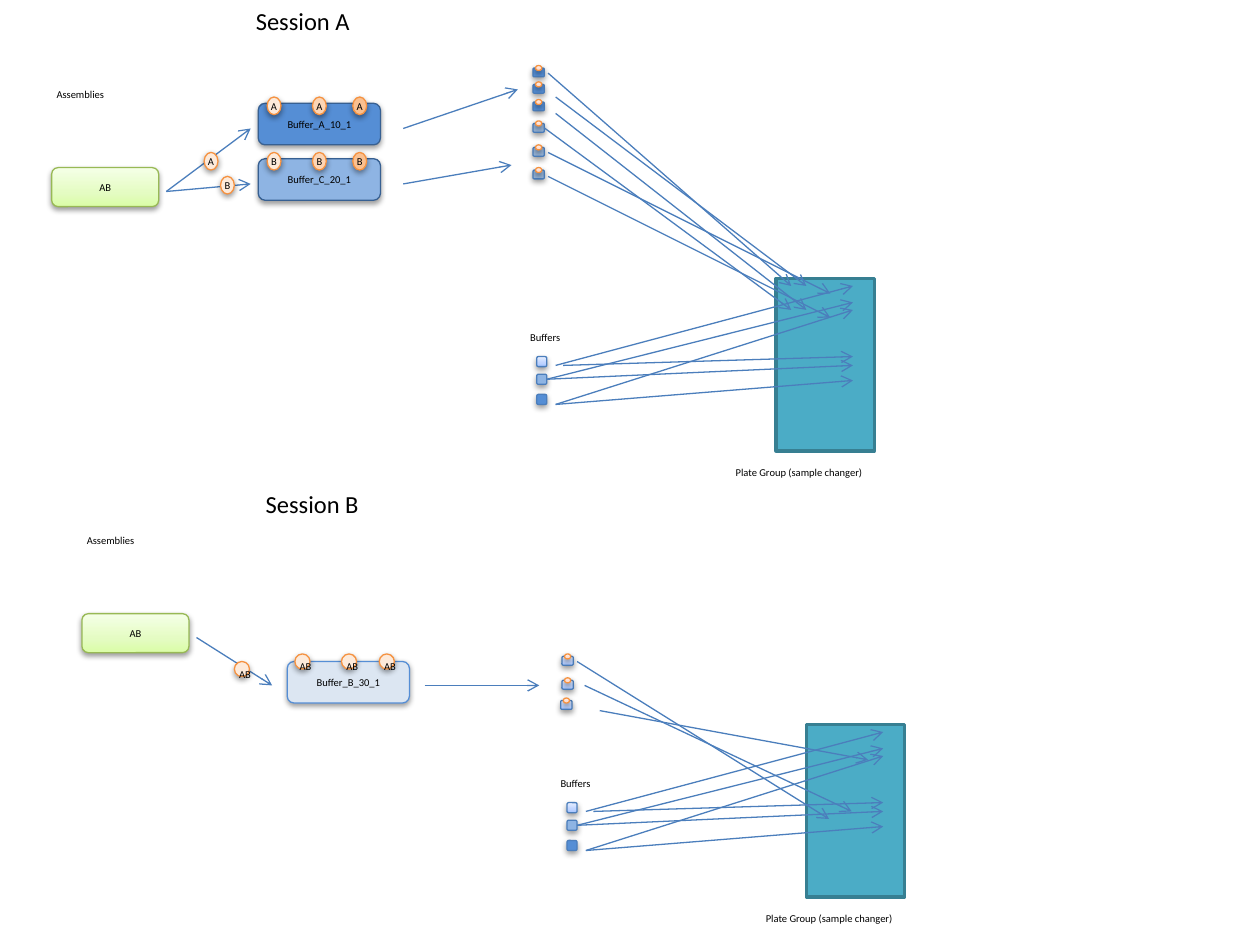
"""Build the slide of two sessions that feed assemblies and buffers to plate groups."""
from copy import deepcopy
from lxml.etree import SubElement
from pptx import Presentation
from pptx.dml.color import RGBColor
from pptx.enum.shapes import MSO_CONNECTOR, MSO_SHAPE
from pptx.enum.text import MSO_ANCHOR, MSO_AUTO_SIZE, PP_ALIGN
from pptx.oxml.ns import qn
from pptx.util import Inches, Pt

HUES = {
    "ink": "000000", "plate": "4BACC6", "rim": "377F92", "leaf": "98B955",
    "deep": "558ED5", "mid": "8EB4E3", "pale": "DCE6F2", "dull": "95B3D7",
    "navy": "376092", "blue": "4B7EBC", "flame": "F69240",
    "peach": "FDEADA", "sand": "FCD5B5", "rust": "FAC090",
}
FADES = {
    "green": ("DAFDA7", "E4FCC2", "F5FFE7"),
    "sky": ("A4C4FF", "BFD4FF", "E6EEFF"),
    "rose": ("FFD2BD", "FFDED0", "FFF2ED"),
}
ROUND, OVAL = MSO_SHAPE.ROUNDED_RECTANGLE, MSO_SHAPE.OVAL


def write(item, text, size=6, align=PP_ALIGN.LEFT, anchor=MSO_ANCHOR.TOP,
          wrap=False, inset=0.1, grow=True):
    frame = item.text_frame
    frame.text = text
    frame.word_wrap = wrap
    frame.vertical_anchor = anchor
    frame.auto_size = MSO_AUTO_SIZE.SHAPE_TO_FIT_TEXT if grow else MSO_AUTO_SIZE.NONE
    frame.margin_left = frame.margin_right = Inches(inset)
    frame.margin_top = frame.margin_bottom = Inches(inset / 2)
    para = frame.paragraphs[0]
    para.alignment = align
    para.font.size = Pt(size)
    para.font.name = "Calibri"
    para.font.color.rgb = RGBColor.from_string(HUES["ink"])


def draw(home, kind, box, fill, edge, text="", width=0.75, shade=True):
    item = home.add_shape(kind, *map(Inches, box))
    props = item.element.spPr
    if fill in FADES:
        item.fill.gradient()
        item.fill.gradient_angle = 90
        stops = props.find(".//" + qn("a:gsLst"))
        stops.insert(1, deepcopy(stops[0]))
        for stop, spot, hue in zip(item.fill.gradient_stops, (0, 0.35, 1), FADES[fill]):
            stop.position = spot
            stop.color.rgb = RGBColor.from_string(hue)
    else:
        item.fill.solid()
        item.fill.fore_color.rgb = RGBColor.from_string(HUES[fill])
    item.line.color.rgb = RGBColor.from_string(HUES[edge])
    item.line.width = Pt(width)
    item.shadow.inherit = False
    if shade:
        glow = SubElement(props.find(qn("a:effectLst")), qn("a:outerShdw"), blurRad="40000",
                          dist="20000", dir="5400000", rotWithShape="0")
        tint = SubElement(glow, qn("a:srgbClr"), val=HUES["ink"])
        SubElement(tint, qn("a:alpha"), val="38000")
    if text:
        write(item, text, align=PP_ALIGN.CENTER, anchor=MSO_ANCHOR.MIDDLE, inset=0, grow=False)
    return item


deck = Presentation()
deck.slide_width, deck.slide_height = Inches(10), Inches(7.5)
slide = deck.slides.add_slide(deck.slide_layouts[5])
shapes = slide.shapes

title = shapes.title
title.left, title.top, title.width, title.height = map(Inches, (1.93, 0, 2.87, 0.34))
write(title, "Session A", size=14, wrap=True)
second = shapes.add_textbox(*map(Inches, (2.01, 3.83, 2.87, 0.34)))
write(second, "Session B", size=14, wrap=True)

links = []
for dx, dy in ((0, 0), (0.24, 3.54)):
    draw(shapes, MSO_SHAPE.RECTANGLE, (6.16 + dx, 2.21 + dy, 0.78, 1.37),
         "plate", "rim", width=2, shade=False)
    draw(shapes, ROUND, (0.41 + dx, 1.33 + dy, 0.85, 0.31), "green", "leaf", "AB")
    for x, y, wide, text in (
        (0.35, 0.65, 0.59, "Assemblies"),
        (4.11, 2.58, 0.45, "Buffers"),
        (5.74, 3.65, 1.23, "Plate Group (sample changer)"),
    ):
        label = shapes.add_textbox(*map(Inches, (x + dx, y + dy, wide, 0.18)))
        write(label, text)
    tiles = [draw(shapes, ROUND, (4.26 + dx, y + dy, 0.08, 0.08), fill, "blue")
             for y, fill in ((2.83, "sky"), (2.97, "mid"), (3.13, "deep"))]
    for x, y, end, tile in (
        (4.41, 2.9, 2.27, None), (4.35, 3, 2.4, tiles[1]), (4.41, 3.21, 2.46, None),
        (4.47, 2.9, 2.83, None), (4.35, 3, 2.9, tiles[1]), (4.41, 3.21, 3.02, None),
    ):
        links.append((x + dx, y + dy, 6.77 + dx, end + dy, tile))

for top, fill, name, mark in (
    (0.82, "deep", "Buffer_A_10_1", "A"), (1.26, "mid", "Buffer_C_20_1", "B"),
):
    group = shapes.add_group_shape().shapes
    draw(group, ROUND, (2.05, top, 0.97, 0.33), fill, "navy", name)
    for x, tone in ((2.12, "peach"), (2.48, "sand"), (2.8, "rust")):
        draw(group, OVAL, (x, top - 0.05, 0.11, 0.14), tone, "flame", mark)
draw(shapes, ROUND, (2.28, 5.25, 0.97, 0.33), "pale", "deep", "Buffer_B_30_1")

vials = []
for x, y, fill in (
    (4.23, 0.54, "deep"), (4.23, 0.67, "deep"), (4.23, 0.81, "deep"),
    (4.23, 0.98, "dull"), (4.23, 1.17, "dull"), (4.23, 1.35, "dull"),
    (4.46, 5.21, "sky"), (4.46, 5.4, "sky"), (4.45, 5.56, "sky"),
):
    group = shapes.add_group_shape().shapes
    vials.append(draw(group, ROUND, (x, y, 0.09, 0.07), fill, "blue"))
    draw(group, OVAL, (x + 0.02, y - 0.02, 0.05, 0.04), "rose", "flame")

links += [
    (1.32, 1.52, 1.99, 1.02, None), (1.32, 1.52, 1.99, 1.46, None),
    (3.2, 1.02, 4.11, 0.71, None), (3.2, 1.46, 4.06, 1.31, None),
    (4.35, 0.58, 6.28, 2.27, None), (4.41, 0.77, 6.4, 2.27, None),
    (4.41, 0.9, 6.4, 2.46, None), (4.32, 1.02, 6.28, 2.46, vials[3]),
    (4.35, 1.21, 6.59, 2.33, None), (4.35, 1.4, 6.59, 2.52, None),
    (1.56, 5.06, 2.16, 5.44, None), (3.37, 5.44, 4.28, 5.44, None),
    (4.58, 5.25, 6.58, 6.5, None), (4.64, 5.44, 6.76, 6.44, None),
    (4.76, 5.64, 6.89, 6.03, None),
]
for *ends, source in links:
    link = shapes.add_connector(MSO_CONNECTOR.STRAIGHT, *map(Inches, ends))
    if source:
        link.begin_connect(source, 3)
    link.line.color.rgb = RGBColor.from_string(HUES["blue"])
    link.line.width = Pt(0.75)
    props = link.element.spPr
    SubElement(props.find(qn("a:ln")), qn("a:tailEnd"), type="arrow")
    SubElement(props, qn("a:effectLst"))

for x, y, mark in ((1.62, 1.21, "A"), (1.75, 1.4, "B")):
    draw(shapes, OVAL, (x, y, 0.11, 0.14), "peach", "flame", mark)
for x, y in ((2.34, 5.19), (2.71, 5.19), (3.01, 5.19), (1.86, 5.25)):
    group = shapes.add_group_shape().shapes
    draw(group, OVAL, (x, y, 0.12, 0.12), "peach", "flame")
    label = group.add_textbox(*map(Inches, (x - 0.06, y, 0.3, 0.18)))
    write(label, "AB")

deck.save("out.pptx")
